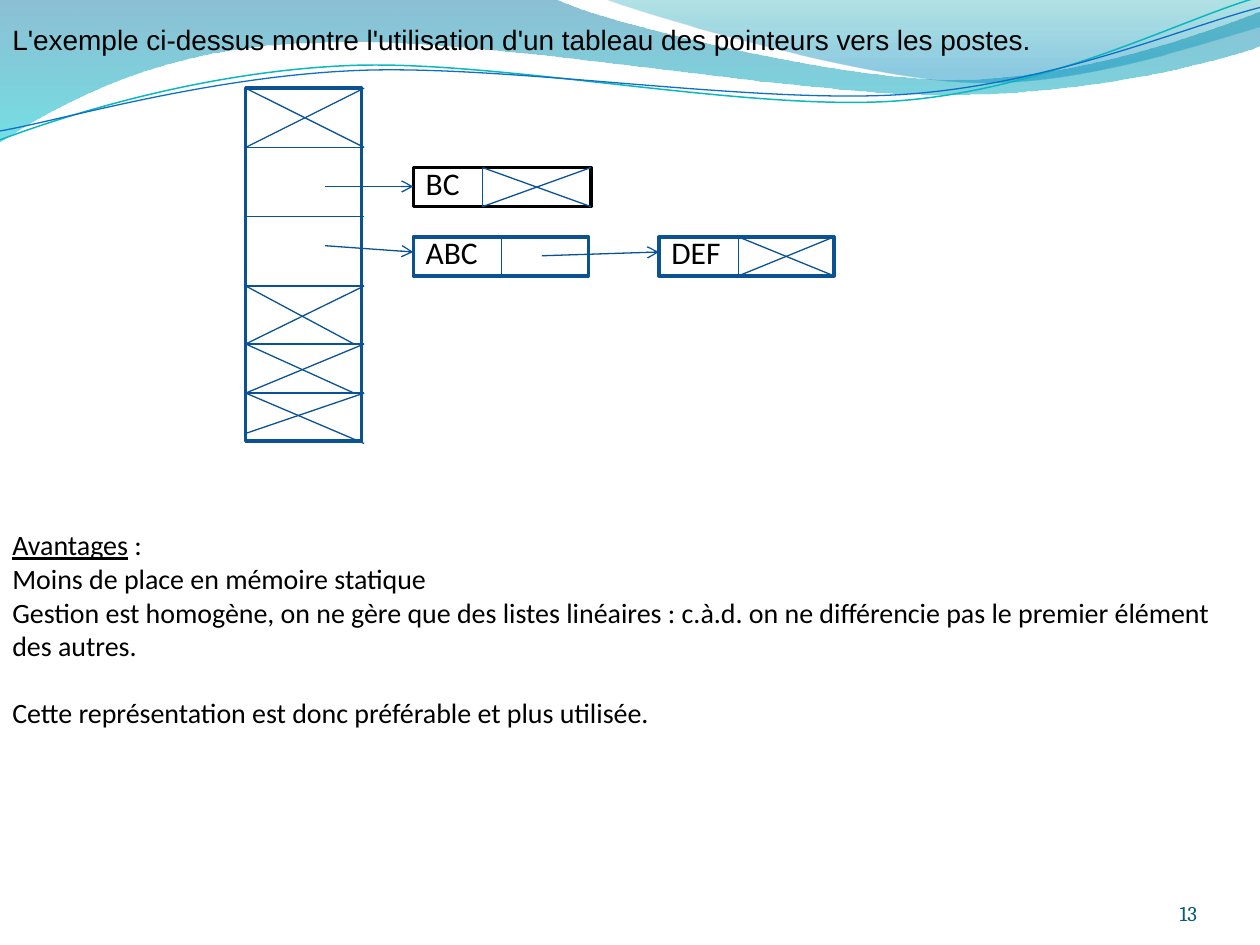
import math

from lxml import etree
from pptx import Presentation
from pptx.dml.color import RGBColor
from pptx.enum import shapes, text
from pptx.oxml.ns import qn
from pptx.util import Inches, Pt

BLACK = RGBColor(0x00, 0x00, 0x00)
WHITE = RGBColor(0xFF, 0xFF, 0xFF)
BORDER = RGBColor(0x0B, 0x52, 0x92)
LINE = RGBColor(0x09, 0x52, 0x95)
NUMBER = RGBColor(0x04, 0x5D, 0x75)
TEAL = RGBColor(0x0A, 0xB8, 0xBF)
BLUE = RGBColor(0x0F, 0x6F, 0xC6)

# Waves: a start point, then Bezier curves (6 numbers) or straight lines (2 numbers)
LEFT_WAVE = [(0, -0.01), (4.4, -0.01), (4.76, 0.17, 6.64, 0.63, 7.58, 0.63),
             (8.53, 0.63, 9.58, 0.26, 10, 0.09), (10.01, 0.36),
             (9.83, 0.44, 8.7, 0.76, 7.46, 0.75), (6.22, 0.75, 3.82, 0.28, 2.57, 0.34),
             (1.29, 0.35, 0.46, 0.83, -0.01, 1.13), (0, -0.01)]
RIGHT_WAVE = [(4.79, -0.01), (5.09, 0.11, 6.82, 0.62, 7.69, 0.65),
              (8.56, 0.69, 9.61, 0.32, 10, 0.21), (10, 0), (4.79, -0.01)]
TEAL_CURVE = [(0, 1.11), (0.48, 0.93, 1.58, 0.57, 2.77, 0.52),
              (3.95, 0.47, 5.93, 0.89, 7.13, 0.8), (8.33, 0.71, 9.38, 0.15, 9.98, -0.02)]
BLUE_CURVE = [(0, 1.04), (0.47, 0.96, 1.64, 0.61, 2.83, 0.56),
              (4.03, 0.51, 5.97, 0.83, 7.17, 0.75), (8.36, 0.67, 9.41, 0.21, 10, 0.06)]
CURVE_TILT = -2.7

# Pointer array
ARRAY_LEFT, ARRAY_RIGHT = 1.95, 2.89
ARRAY_ROWS = [0.7, 1.17, 1.72, 2.27, 2.73, 3.12, 3.5]
# Empty cells: row, right end of the falling diagonal, bottoms of both diagonals
EMPTY_CELLS = [(0, 2.89, 1.17, 1.17), (3, 2.81, 2.73, 2.73),
               (4, 2.81, 3.12, 3.12), (5, 2.89, 3.52, 3.44)]

# List nodes: label, label width, left, top, width, divider, border, last in its list
NODE_HEIGHT = 0.31
NODES = [("BC", 0.62, 3.28, 1.33, 1.41, 3.83, BLACK, True),
         ("ABC", 0.86, 3.28, 1.88, 1.39, 3.98, BORDER, False),
         ("DEF", 0.94, 5.23, 1.88, 1.39, 5.86, BORDER, True)]
ARROWS = [(2.58, 1.48, 3.28, 1.48), (2.58, 1.95, 3.28, 2), (4.3, 2.03, 5.23, 2)]

PARAGRAPHS = [
    "L'exemple ci-dessus montre l'utilisation d'un tableau des pointeurs vers les postes.",
    "Avantages",
    "Moins de place en mémoire statique",
    "Gestion est homogène, on ne gère que des listes linéaires : c.à.d. on ne différencie "
    "pas le premier élément des autres.",
    "Cette représentation est donc préférable et plus utilisée."]


def add_freeform(slide, segments, close):
    points = [segment[i:i + 2] for segment in segments for i in range(0, len(segment), 2)]
    points = [(Inches(x), Inches(y)) for x, y in points]
    builder = slide.shapes.build_freeform(*points[0])
    builder.add_line_segments(points[1:], close=close)
    shape = builder.convert_to_shape()
    shape.shadow.inherit = False
    # Join the three points of each curve into one Bezier command
    commands = iter(list(shape._element.iter(qn("a:lnTo"))))
    for segment in segments[1:]:
        command = next(commands)
        if len(segment) == 6:
            command.tag = qn("a:cubicBezTo")
            for _ in range(2):
                extra = next(commands)
                command.append(extra[0])
                extra.getparent().remove(extra)
    return shape


def add_wave(slide, segments, stops):
    shape = add_freeform(slide, segments, True)
    shape.line.fill.background()
    shape.fill.gradient()
    shape.fill.gradient_angle = 270
    for stop, (position, color, _) in zip(shape.fill.gradient_stops, stops):
        stop.position = position
        stop.color.rgb = RGBColor.from_string(color)
    colors = shape._element.spPr.iter(qn("a:srgbClr"))
    for element, (_, _, opacity) in zip(list(colors), stops):
        etree.SubElement(element, qn("a:alpha")).set("val", str(opacity * 1000))


def turn(segment, center, degrees):
    cos, sin = math.cos(math.radians(degrees)), math.sin(math.radians(degrees))
    turned = []
    for x, y in zip(segment[::2], segment[1::2]):
        dx, dy = x - center[0], y - center[1]
        turned += [center[0] + dx * cos - dy * sin, center[1] + dx * sin + dy * cos]
    return turned


def add_curve(slide, segments, center, color, width):
    level = [turn(segment, center, -CURVE_TILT) for segment in segments]
    shape = add_freeform(slide, level, False)
    shape.rotation = CURVE_TILT
    shape.fill.background()
    shape.line.color.rgb = color
    shape.line.width = Pt(width)


def add_box(slide, left, top, width, height, border):
    shape = slide.shapes.add_shape(shapes.MSO_SHAPE.RECTANGLE, Inches(left), Inches(top),
                                   Inches(width), Inches(height))
    shape.shadow.inherit = False
    shape.fill.solid()
    shape.fill.fore_color.rgb = WHITE
    shape.line.color.rgb = border
    shape.line.width = Pt(2)


def add_line(slide, x1, y1, x2, y2, arrow=False):
    line = slide.shapes.add_connector(shapes.MSO_CONNECTOR.STRAIGHT, Inches(x1), Inches(y1),
                                      Inches(x2), Inches(y2))
    line.line.color.rgb = LINE
    line.line.width = Pt(0.75)
    if arrow:
        etree.SubElement(line.line._get_or_add_ln(), qn("a:tailEnd")).set("type", "arrow")
    etree.SubElement(line._element.spPr, qn("a:effectLst"))


def format_run(run, size, font, color):
    run.font.size = Pt(size)
    run.font.name = font
    run.font.color.rgb = color


def add_text(slide, left, top, width, height, content, size, font="Calibri", color=BLACK):
    box = slide.shapes.add_textbox(Inches(left), Inches(top), Inches(width), Inches(height))
    frame = box.text_frame
    frame.word_wrap = True
    frame.text = content
    for paragraph in frame.paragraphs:
        for run in paragraph.runs:
            format_run(run, size, font, color)
    return frame


def add_array(slide):
    add_box(slide, ARRAY_LEFT, ARRAY_ROWS[0], 0.92, ARRAY_ROWS[-1] - ARRAY_ROWS[0], BORDER)
    for y in ARRAY_ROWS[1:-1]:
        add_line(slide, ARRAY_LEFT, y, ARRAY_RIGHT, y)
    for row, right, falling_end, rising_end in EMPTY_CELLS:
        add_line(slide, ARRAY_LEFT, ARRAY_ROWS[row], right, falling_end)
        add_line(slide, ARRAY_RIGHT, ARRAY_ROWS[row], ARRAY_LEFT, rising_end)


def add_node(slide, label, label_width, left, top, width, divider, border, last):
    right, bottom = left + width, top + NODE_HEIGHT
    add_box(slide, left, top, width, NODE_HEIGHT, border)
    add_text(slide, left, top - 0.08, label_width, 0.4, label, 18)
    add_line(slide, divider, top, divider, bottom)
    if last:
        add_line(slide, divider, top, right, bottom)
        add_line(slide, divider, bottom, right, top)


def add_body(slide):
    frame = add_text(slide, 0, 0, 10, 6.92, "\n".join(PARAGRAPHS), 16)
    frame.margin_top = Inches(0.18)
    intro, heading = frame.paragraphs[:2]
    intro.runs[0].font.name = "Arial"
    heading.space_before = Pt(269.5)
    heading.runs[0].font.underline = True
    colon = heading.add_run()
    colon.text = " :"
    format_run(colon, 16, "Calibri", BLACK)
    frame.paragraphs[-1].space_before = Pt(19)


def add_page_number(slide):
    frame = add_text(slide, 8.67, 6.95, 0.83, 0.4, "13", 12, "Cambria", NUMBER)
    frame.margin_left = frame.margin_right = frame.margin_top = frame.margin_bottom = 0
    frame.vertical_anchor = text.MSO_ANCHOR.BOTTOM
    frame.paragraphs[0].alignment = text.PP_ALIGN.RIGHT


def main():
    presentation = Presentation()
    presentation.slide_width, presentation.slide_height = Inches(10), Inches(7.5)
    slide = presentation.slides.add_slide(presentation.slide_layouts[6])

    # Decorative header
    add_wave(slide, LEFT_WAVE, [(0, "0074A1", 45), (1, "00C6CF", 55)])
    add_wave(slide, RIGHT_WAVE, [(0, "00A1A9", 30), (0.8, "008BBF", 45)])
    add_curve(slide, TEAL_CURVE, (4.99, 0.58), TEAL, 0.85)
    add_curve(slide, BLUE_CURVE, (5, 0.59), BLUE, 0.75)

    # Text, then the array, linked lists and pointers
    add_body(slide)
    add_array(slide)
    for node in NODES:
        add_node(slide, *node)
    for arrow in ARROWS:
        add_line(slide, *arrow, arrow=True)

    add_page_number(slide)
    presentation.save("out.pptx")


if __name__ == "__main__":
    main()
